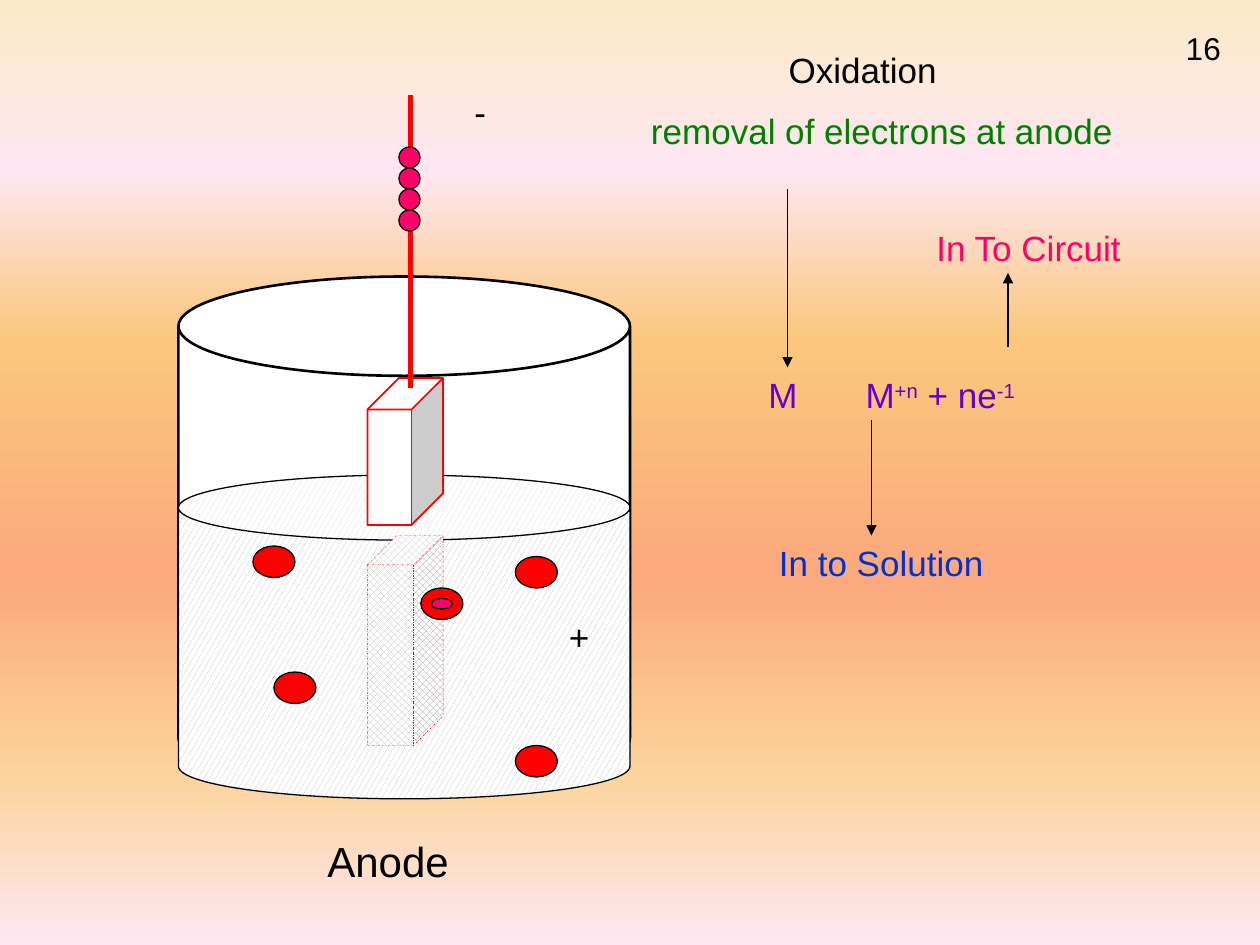
from lxml.etree import SubElement
from pptx import Presentation
from pptx.dml.color import RGBColor
from pptx.enum.dml import MSO_LINE, MSO_PATTERN
from pptx.enum.shapes import MSO_CONNECTOR, MSO_SHAPE as SHAPE
from pptx.enum.text import MSO_AUTO_SIZE, PP_ALIGN
from pptx.oxml.ns import qn
from pptx.util import Pt

COLORS = {
    "black": "000000", "white": "FFFFFF", "gray": "C0C0C0", "red": "FF0000",
    "pink": "FF0066", "green": "008000", "purple": "6600CC", "blue": "0033CC",
}
BACKGROUND = [(0, "FBEAC7"), (18, "FEE7F2"), (36, "FAC77D"),
              (61, "FBA97D"), (82, "FBD49C"), (100, "FEE7F2")]

BEAKER = (SHAPE.CAN, (102, 158, 258, 292), 0.22, "white", "black", 1.5)
SOLUTION = (SHAPE.CAN, (102, 271.5, 258, 185), 0.201,
            MSO_PATTERN.LARGE_CONFETTI, "black", 0.75)
DRY_ANODE = (SHAPE.CUBE, (210, 216, 43.2, 84), 0.417, "white", "red", 1)
WET_ANODE = (SHAPE.CUBE, (210, 306, 43.2, 120), 0.39,
             MSO_PATTERN.SOLID_DIAMOND, "red", 0.25)

WIRE = ((234.5, 222), (234.5, 54))
ARROWS = [((450, 108), (450, 210)), ((498, 240), (498, 306)), ((576, 198), (576, 156))]

ION_SIZE, HOLE_SIZE, ELECTRON_SIZE = (24, 18), (12, 6), (12, 12)
IONS = [(240.5, 336), (294.5, 318), (144.5, 312), (156.5, 384), (294.5, 426)]
HOLE = (246.5, 342)
ELECTRONS = [(228, 84 + 12 * i) for i in range(4)]

LABELS = [
    ((264, 48, 24, 31), 20, "black", "-"),
    ((318, 348, 24, 31), 20, "black", "+"),
    ((438, 306, 162, 31.5), 20, "blue", "In to Solution"),
    ((528, 126, 132, 31), 20, "pink", "In To Circuit"),
    ((180, 474, 85, 36.5), 24, "black", "Anode"),
    ((670.5, 13, 36, 29), 18, "black", "16"),
]
HEADING_BOX = (331, 24, 324, 68)
HEADING = [("Oxidation", "black", {}),
           ("removal of electrons at anode", "green", {"marL": 22, "indent": 0})]
EQUATION_BOX = (432, 210, 168, 31)
EQUATION = [("M\tM", 0), ("+n", 30), (" + ne", 0), ("-1", 30)]
PRODUCT_TAB = 55.5


def rgb(name):
    return RGBColor.from_string(COLORS[name])


def add_figure(s, kind, box, adj, fill, line, weight):
    sp = s.shapes.add_shape(kind, *map(Pt, box))
    sp.shadow.inherit = False
    if adj is not None:
        sp.adjustments[0] = adj
    if isinstance(fill, str):
        sp.fill.solid()
        sp.fill.fore_color.rgb = rgb(fill)
    else:
        sp.fill.patterned()
        sp.fill.pattern = fill
        sp.fill.fore_color.rgb = rgb("gray")
        sp.fill.back_color.rgb = rgb("white")
    sp.line.color.rgb = rgb(line)
    sp.line.width = Pt(weight)
    return sp


def add_dot(s, at, size, fill):
    add_figure(s, SHAPE.OVAL, at + size, None, fill, "black", 0.75)


def add_line(s, ends, color, weight, arrow=False):
    start, end = ends
    cx = s.shapes.add_connector(MSO_CONNECTOR.STRAIGHT, *map(Pt, start + end))
    cx.line.color.rgb = rgb(color)
    cx.line.width = Pt(weight)
    if arrow:
        SubElement(cx.line._get_or_add_ln(), qn("a:tailEnd"), type="triangle")
    SubElement(cx._element.spPr, qn("a:effectLst"))


def add_box(s, box):
    tf = s.shapes.add_textbox(*map(Pt, box)).text_frame
    tf.word_wrap = True
    tf.auto_size = MSO_AUTO_SIZE.SHAPE_TO_FIT_TEXT
    return tf


def add_run(p, text, size, color):
    r = p.add_run()
    r.text = text
    for key, value in {"name": "Arial", "size": Pt(size)}.items():
        setattr(r.font, key, value)
    r.font.color.rgb = rgb(color)
    return r


def set_background(s):
    fill = s.background.fill
    fill.gradient()
    fill.gradient_angle = 270
    stops = s.background._cSld.find(".//" + qn("a:gsLst"))
    for stop in list(stops):
        stops.remove(stop)
    for pos, color in BACKGROUND:
        stop = SubElement(stops, qn("a:gs"), pos=str(pos * 1000))
        SubElement(stop, qn("a:srgbClr"), val=color)


def main():
    prs = Presentation()
    prs.slide_width, prs.slide_height = Pt(720), Pt(540)
    s = prs.slides.add_slide(prs.slide_layouts[6])
    set_background(s)

    for figure in (BEAKER, SOLUTION, DRY_ANODE):
        add_figure(s, *figure)
    add_line(s, WIRE, "red", 3)
    add_figure(s, *WET_ANODE).line.dash_style = MSO_LINE.DASH_DOT

    for at in IONS:
        add_dot(s, at, ION_SIZE, "red")
    add_dot(s, HOLE, HOLE_SIZE, "pink")
    for at in ELECTRONS:
        add_dot(s, at, ELECTRON_SIZE, "pink")
    for ends in ARROWS:
        add_line(s, ends, "black", 0.75, arrow=True)

    for box, size, color, text in LABELS:
        add_run(add_box(s, box).paragraphs[0], text, size, color)

    tf = add_box(s, HEADING_BOX)
    for i, (text, color, margins) in enumerate(HEADING):
        p = tf.add_paragraph() if i else tf.paragraphs[0]
        p.alignment = PP_ALIGN.CENTER
        if i:
            p.space_before = Pt(11)
        for key, value in margins.items():
            p._p.get_or_add_pPr().set(key, str(Pt(value)))
        add_run(p, text, 20, color)

    p = add_box(s, EQUATION_BOX).paragraphs[0]
    tabs = SubElement(p._p.get_or_add_pPr(), qn("a:tabLst"))
    SubElement(tabs, qn("a:tab"), pos=str(Pt(PRODUCT_TAB)), algn="l")
    for text, raised in EQUATION:
        r = add_run(p, text, 20, "purple")
        if raised:
            r.font._element.set("baseline", str(raised * 1000))

    prs.save("out.pptx")


if __name__ == "__main__":
    main()
